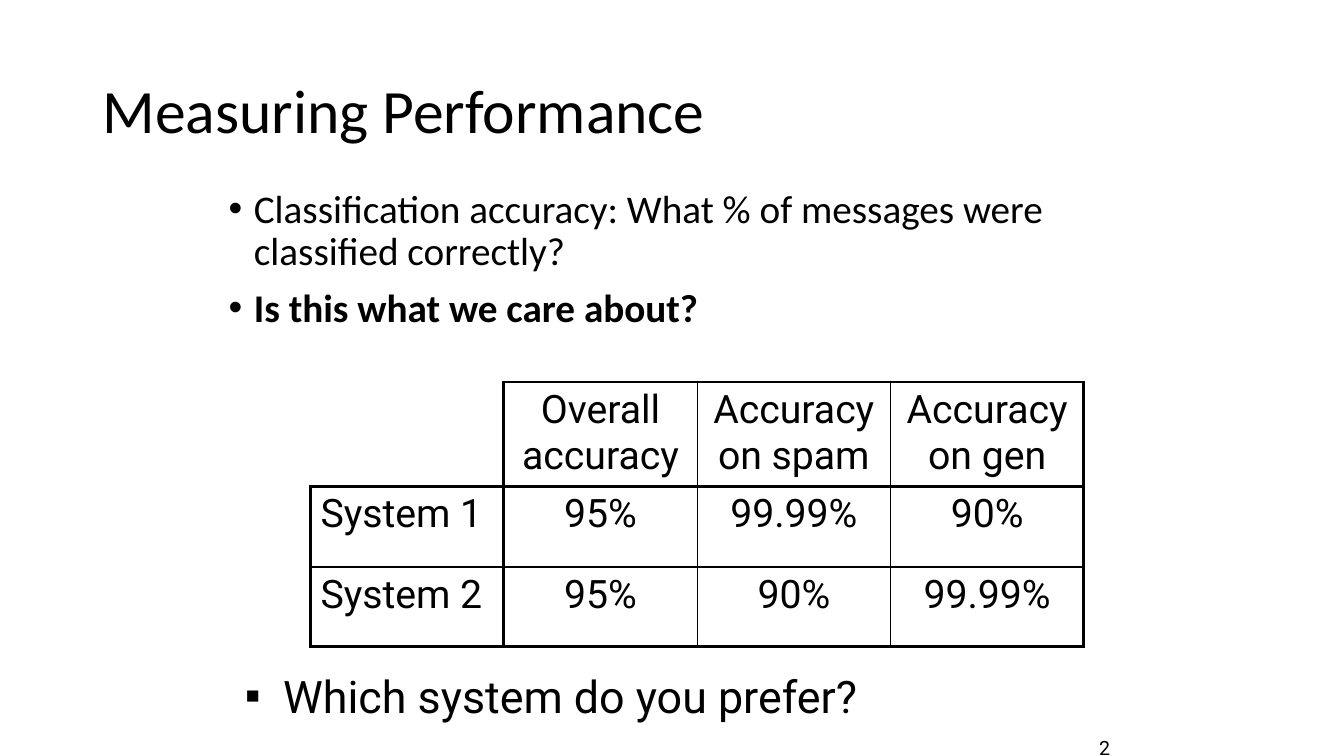
from lxml import etree
from pptx import Presentation
from pptx.dml.color import RGBColor
from pptx.enum.text import MSO_ANCHOR as Anchor, PP_ALIGN as Align
from pptx.oxml.ns import qn
from pptx.util import Inches, Pt

BLACK = "000000"
ORANGE = "ED7D31"
THICK, THIN = 2.25, 1


def rgb(color):
    return RGBColor.from_string(color)


def add_solid_fill(parent, color):
    fill = etree.SubElement(parent, qn("a:solidFill"))
    etree.SubElement(fill, qn("a:srgbClr"), val=color)


class SlideBuilder:
    def __init__(self, slide, color=BLACK):
        self.slide = slide
        self.color = color

    def run(self, p, text, size, font, bold=False):
        r = p.add_run()
        r.text = text
        r.font.size = Pt(size)
        r.font.name = font
        r.font.bold = bold
        r.font.color.rgb = rgb(self.color)

    def bullet(self, p, char, indent, color):
        pPr = p._p.get_or_add_pPr()
        pPr.set("marL", str(Inches(indent)))
        pPr.set("indent", str(-Inches(indent)))
        add_solid_fill(etree.SubElement(pPr, qn("a:buClr")), color)
        etree.SubElement(pPr, qn("a:buFont"), typeface="Arial")
        etree.SubElement(pPr, qn("a:buChar"), char=char)

    def text(self, box, lines, size, font, anchor=Anchor.TOP, align=Align.LEFT,
             spacing=1.0, before=0, bullet=None):
        """Add a text box; lines holds (text, bold) and bullet (char, indent, color)."""
        tf = self.slide.shapes.add_textbox(*map(Inches, box)).text_frame
        tf.word_wrap = True
        tf.vertical_anchor = anchor
        for i, (text, bold) in enumerate(lines):
            p = tf.add_paragraph() if i else tf.paragraphs[0]
            if bullet:
                self.bullet(p, *bullet)
            p.alignment = align
            p.line_spacing = spacing
            if i:
                p.space_before = Pt(before)
            self.run(p, text, size, font, bold)

    def borders(self, cell, widths):
        """Set left, right, top and bottom lines; a width of 0 hides the line."""
        tcPr = cell._tc.get_or_add_tcPr()
        for i, (side, width) in enumerate(zip("LRTB", widths)):
            ln = etree.Element(qn(f"a:ln{side}"), w=str(Pt(width)))
            if width:
                add_solid_fill(ln, self.color)
            else:
                etree.SubElement(ln, qn("a:noFill"))
            tcPr.insert(i, ln)

    def table(self, box, rows, heights, size, font):
        n_rows, n_cols = len(rows), len(rows[0])
        frame = self.slide.shapes.add_table(n_rows, n_cols, *map(Inches, box))
        table = frame.table
        table.first_row = table.horz_banding = False
        for column in table.columns:
            column.width = Inches(box[2] / n_cols)
        for row, height in zip(table.rows, heights):
            row.height = Inches(height)

        def line(index, count):
            return THICK if index in (0, 1, count) else THIN

        for i, row in enumerate(rows):
            for j, text in enumerate(row):
                cell = table.cell(i, j)
                cell.fill.background()
                corner = i == j == 0
                self.borders(cell, (0 if corner else line(j, n_cols), line(j + 1, n_cols),
                                    0 if corner else line(i, n_rows), line(i + 1, n_rows)))
                if text:
                    p = cell.text_frame.paragraphs[0]
                    p.alignment = Align.CENTER if j else Align.LEFT
                    self.run(p, text, size, font)


def main():
    prs = Presentation()
    prs.slide_width, prs.slide_height = Inches(13.33), Inches(7.5)
    s = SlideBuilder(prs.slides.add_slide(prs.slide_layouts[6]))

    s.text((9.03, 7.08, 2.08, 0.5), [("2", False)], 14, "Roboto",
           anchor=Anchor.BOTTOM, align=Align.RIGHT)
    s.text((0.92, 0.4, 11.5, 1.45), [("Measuring Performance", False)], 44, "Calibri",
           anchor=Anchor.MIDDLE, spacing=0.9)
    s.text((2.17, 1.83, 8.94, 2.58),
           [("Classification accuracy: What % of messages were classified correctly?", False),
            ("Is this what we care about?", True)],
           28, "Calibri", spacing=0.9, before=10, bullet=("•", 0.25, BLACK))
    s.table((3.08, 3.79, 7.67, 2.62),
            [("", "Overall accuracy", "Accuracy on spam", "Accuracy on gen"),
             ("System 1", "95%", "99.99%", "90%"),
             ("System 2", "95%", "90%", "99.99%")],
            (1.03, 0.8, 0.79), 28, "Roboto")
    s.text((2.33, 6.58, 8.94, 0.75), [("Which system do you prefer?", False)], 32, "Roboto",
           bullet=("▪", 0.38, ORANGE))

    prs.save("out.pptx")


if __name__ == "__main__":
    main()
